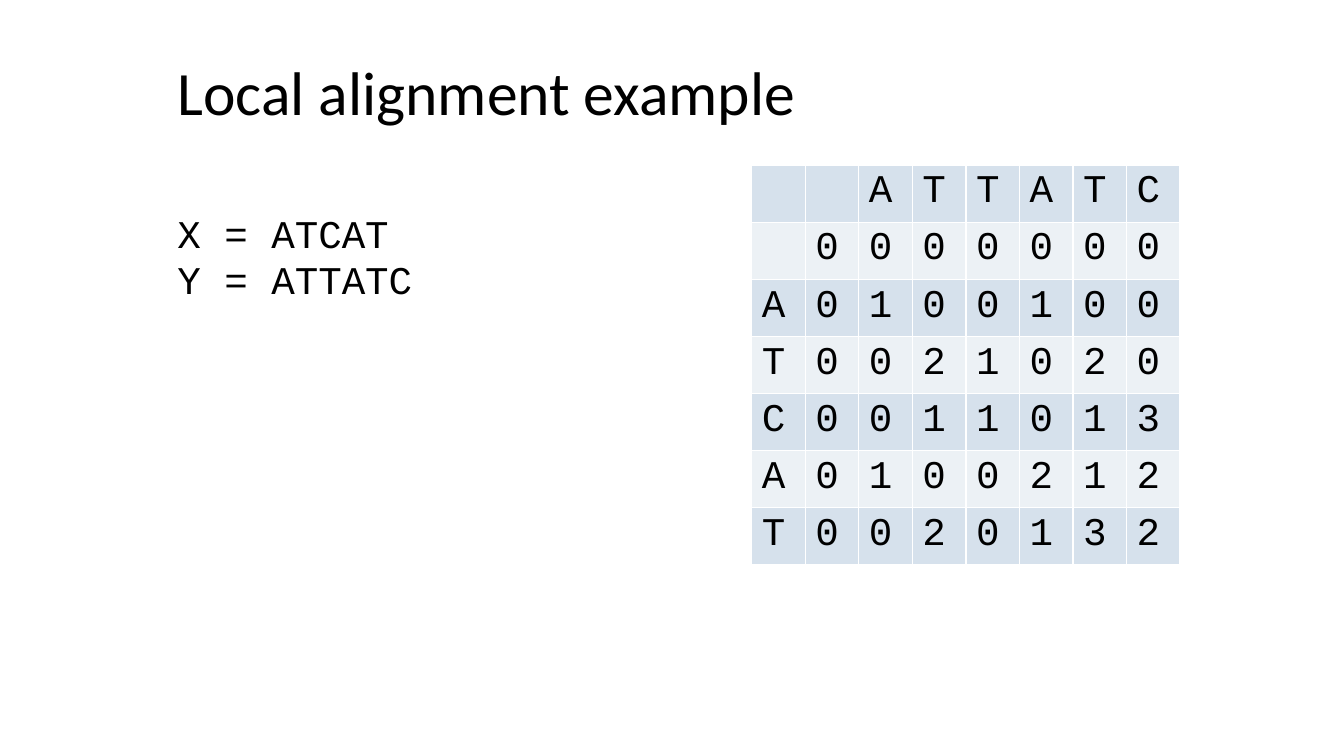
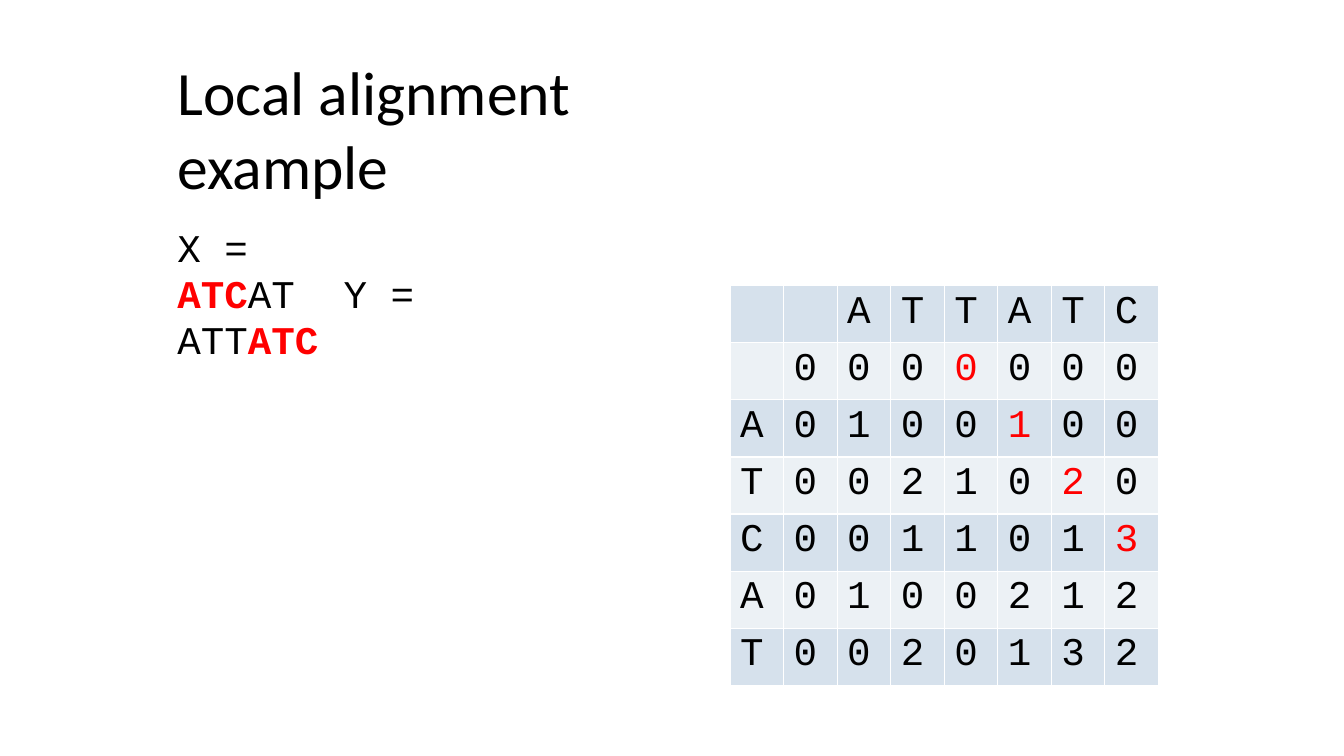
from lxml import etree
from pptx import Presentation
from pptx.dml.color import RGBColor
from pptx.enum import text
from pptx.oxml import ns
from pptx.util import Pt

BLACK = RGBColor(0x00, 0x00, 0x00)
RED = RGBColor(0xFF, 0x00, 0x00)
WHITE = RGBColor(0xFF, 0xFF, 0xFF)
BANDS = (RGBColor(0xD6, 0xE1, 0xEC), RGBColor(0xEC, 0xF1, 0xF5))

TITLE_FONT = {"name": "Calibri", "size": Pt(44), "bold": False}
CODE_FONT = {"name": "Courier New", "size": Pt(28)}
FRAME_FORMAT = {
    "word_wrap": True,
    "auto_size": text.MSO_AUTO_SIZE.SHAPE_TO_FIT_TEXT,
    "vertical_anchor": text.MSO_ANCHOR.TOP,
    "margin_left": Pt(0.72),
    "margin_right": 0,
    "margin_bottom": 0,
}
CELL_FORMAT = {
    "margin_left": Pt(7.2),
    "margin_top": Pt(3.6),
    "margin_right": 0,
    "margin_bottom": 0,
}

TITLE = "Local alignment example"
SCORES = (
    "  ATTATC",
    " 0000000",
    "A0100100",
    "T0021020",
    "C0011013",
    "A0100212",
    "T0020132",
)
TRACEBACK = {(1, 4), (2, 5), (3, 6), (4, 7)}


def apply_format(target, values):
    """Set every attribute named in values on target."""
    for name, value in values.items():
        setattr(target, name, value)


def style_font(font, values, color=BLACK):
    """Apply a font style and its colour."""
    apply_format(font, values)
    font.color.rgb = color


def add_title(slide, box):
    """Place the title placeholder in box."""
    title = slide.shapes.title
    title.left, title.top, title.width, title.height = map(Pt, box)
    frame = title.text_frame
    apply_format(frame, FRAME_FORMAT | {"margin_top": Pt(0.72)})
    frame.text = TITLE
    paragraph = frame.paragraphs[0]
    paragraph.alignment = text.PP_ALIGN.LEFT
    style_font(paragraph.runs[0].font, TITLE_FONT)


def add_borders(cell):
    """Draw a thin white line on each side of a cell."""
    properties = cell._tc.get_or_add_tcPr()
    for side in ("lnL", "lnR", "lnT", "lnB"):
        line = etree.SubElement(properties, ns.qn(f"a:{side}"), w=str(Pt(1)))
        fill = etree.SubElement(line, ns.qn("a:solidFill"))
        etree.SubElement(fill, ns.qn("a:srgbClr"), val=str(WHITE))


def add_score_table(slide, box, highlights):
    """Place the score matrix in box, with highlighted cells in red."""
    row_count, column_count = len(SCORES), len(SCORES[0])
    table = slide.shapes.add_table(row_count, column_count, *map(Pt, box)).table
    apply_format(table, {"first_row": False, "horz_banding": False})
    for column in table.columns:
        column.width = Pt(box[2] / column_count)
    for row_index, values in enumerate(SCORES):
        table.rows[row_index].height = Pt(box[3] / row_count)
        for column_index, value in enumerate(values):
            cell = table.cell(row_index, column_index)
            apply_format(cell, CELL_FORMAT)
            add_borders(cell)
            cell.fill.solid()
            cell.fill.fore_color.rgb = BANDS[row_index % 2]
            cell.text = value.strip()
            color = RED if (row_index, column_index) in highlights else BLACK
            style_font(cell.text_frame.paragraphs[0].font, CODE_FONT, color)


def add_sequences(slide, box, lines):
    """Place the sequences in box; each line is a list of (text, matched) pairs."""
    frame = slide.shapes.add_textbox(*map(Pt, box)).text_frame
    apply_format(frame, FRAME_FORMAT | {"margin_top": Pt(2.88)})
    paragraph = frame.paragraphs[0]
    paragraph.line_spacing = Pt(33)
    tabs = etree.SubElement(paragraph._p.get_or_add_pPr(), ns.qn("a:tabLst"))
    etree.SubElement(tabs, ns.qn("a:tab"), pos=str(Pt(118.8)), algn="l")
    style_font(paragraph.font, CODE_FONT)
    for index, line in enumerate(lines):
        if index:
            paragraph.add_line_break()
        for content, matched in line:
            run = paragraph.add_run()
            run.text = content
            style_font(run.font, CODE_FONT | {"bold": matched}, RED if matched else BLACK)


def add_example_slide(presentation, title_box, table_box, sequence_box, lines, highlights=()):
    """Add one alignment slide with title, score matrix and sequences."""
    slide = presentation.slides.add_slide(presentation.slide_layouts[5])
    add_title(slide, title_box)
    add_score_table(slide, table_box, highlights)
    add_sequences(slide, sequence_box, lines)


def main():
    """Build and save the presentation."""
    presentation = Presentation()
    apply_format(presentation, {"slide_width": Pt(960), "slide_height": Pt(540)})
    add_example_slide(
        presentation,
        (126, 38, 464.4, 54),
        (537, 118, 306, 285.6),
        (126, 147, 170, 68.4),
        [[("X = ATCAT", False)], [("Y = ATTATC", False)]],
    )
    add_example_slide(
        presentation,
        (126, 38, 437, 54),
        (521.5, 204, 306, 285.6),
        (126, 157, 203.8, 68.4),
        [
            [("X =", False)],
            [("ATC", True), ("AT\tY =", False)],
            [("ATT", False), ("ATC", True)],
        ],
        TRACEBACK,
    )
    presentation.save("out.pptx")


if __name__ == "__main__":
    main()
